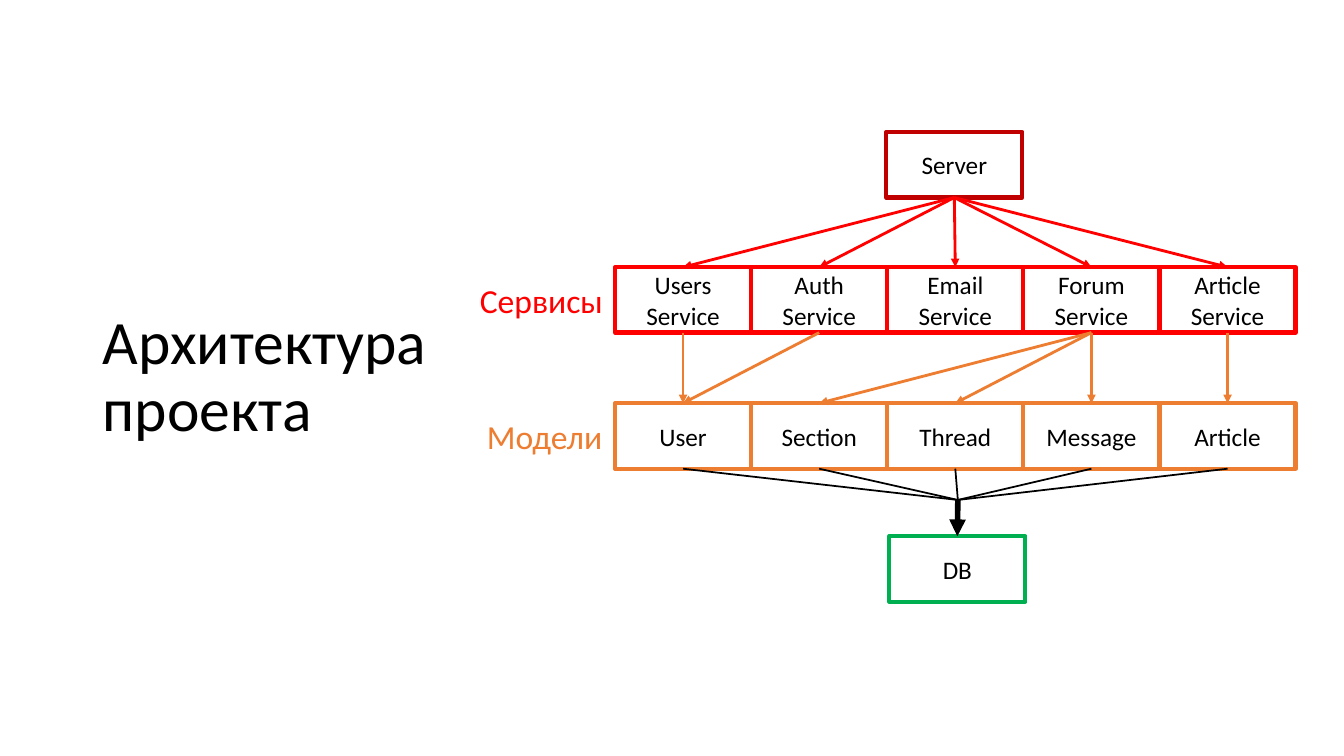
from pptx import Presentation
from pptx.dml.color import RGBColor
from pptx.enum.shapes import MSO_CONNECTOR as Connector, MSO_SHAPE as Preset
from pptx.enum.text import MSO_ANCHOR as Anchor, PP_ALIGN as Align
from pptx.oxml.ns import qn
from pptx.util import Inches, Pt
from lxml.etree import SubElement

COLORS = {"text": "000000", "server": "C00000", "service": "FF0000",
          "model": "ED7D31", "database": "00B050"}
SERVICES = ["Users", "Auth", "Email", "Forum", "Article"]
MODELS = ["User", "Section", "Thread", "Message", "Article"]
SERVICE_MODELS = [(0, 0), (4, 4), (3, 3), (3, 2), (3, 1), (1, 0)]
LEFT, BOX_WIDTH, BOX_HEIGHT = 6.1, 1.35, 0.65
TOP, BOTTOM = 0, 2


class ArchitectureSlide:
    """Draws styled elements on one slide."""

    font_name = "Calibri"

    def __init__(self, presentation):
        """Add the slide that receives the elements."""
        self.slide = presentation.slides.add_slide(presentation.slide_layouts[5])

    def set_text(self, shape, text, size, color="text", align=Align.LEFT, spacing=1.0, inset=0.05):
        """Fill a shape with formatted paragraphs."""
        frame = shape.text_frame
        frame.text = text
        frame_format = {"word_wrap": True, "vertical_anchor": Anchor.MIDDLE,
                        "margin_top": Inches(inset), "margin_bottom": Inches(inset)}
        for name, value in frame_format.items():
            setattr(frame, name, value)
        for paragraph in frame.paragraphs:
            for name, value in {"alignment": align, "line_spacing": spacing}.items():
                setattr(paragraph, name, value)
            for run in paragraph.runs:
                for name, value in {"name": self.font_name, "size": Pt(size)}.items():
                    setattr(run.font, name, value)
                run.font.color.rgb = RGBColor.from_string(COLORS[color])

    def title(self, text, left, top, width, height):
        """Place and fill the title placeholder."""
        shape = self.slide.shapes.title
        position = {"left": left, "top": top, "width": width, "height": height}
        for name, value in position.items():
            setattr(shape, name, Inches(value))
        self.set_text(shape, text, 44, spacing=0.9)

    def label(self, text, left, top, width, color):
        """Add a row label."""
        shape = self.slide.shapes.add_textbox(
            Inches(left), Inches(top), Inches(width), Inches(0.5))
        self.set_text(shape, text, 24, color)

    def box(self, text, left, top, color):
        """Add an outlined box with centred text."""
        shape = self.slide.shapes.add_shape(
            Preset.RECTANGLE, Inches(left), Inches(top), Inches(BOX_WIDTH), Inches(BOX_HEIGHT))
        shape.shadow.inherit = False
        shape.fill.background()
        shape.line.color.rgb = RGBColor.from_string(COLORS[color])
        shape.line.width = Pt(3)
        self.set_text(shape, text, 18, align=Align.CENTER, inset=0)
        return shape

    def row(self, texts, top, color):
        """Add adjoining boxes from left to right."""
        return [self.box(text, LEFT + BOX_WIDTH * column, top, color)
                for column, text in enumerate(texts)]

    def link(self, color, width, source=None, target=None, point=(0, 0), arrow=True):
        """Join a box bottom to a box top, using the point for a missing box."""
        x, y = map(Inches, point)
        connector = self.slide.shapes.add_connector(Connector.STRAIGHT, x, y, x, y)
        if source is not None:
            connector.begin_connect(source, BOTTOM)
        if target is not None:
            connector.end_connect(target, TOP)
        connector.line.color.rgb = RGBColor.from_string(COLORS[color])
        connector.line.width = Pt(width)
        if arrow:
            SubElement(connector.get_or_add_ln(), qn("a:tailEnd"), type="triangle")
        SubElement(connector.element.spPr, qn("a:effectLst"))


def main():
    """Build and save the architecture slide."""
    presentation = Presentation()
    presentation.slide_width = Inches(13.33)
    presentation.slide_height = Inches(7.5)
    drawing = ArchitectureSlide(presentation)

    drawing.title("Архитектура проекта", 0.92, 0, 4.8, 7.5)
    drawing.label("Сервисы", 4.66, 2.73, 1.49, "service")
    drawing.label("Модели", 4.73, 4.08, 1.35, "model")

    server = drawing.box("Server", 8.79, 1.31, "server")
    services = drawing.row([f"{name}\nService" for name in SERVICES], 2.65, "service")
    models = drawing.row(MODELS, 4, "model")
    database = drawing.box("DB", 8.82, 5.32, "database")

    for service in services:
        drawing.link("service", 2, server, service)
    for service, model in SERVICE_MODELS:
        drawing.link("model", 2, services[service], models[model])
    junction = (9.5, 4.96)
    for model in models:
        drawing.link("text", 1.25, source=model, point=junction, arrow=False)
    drawing.link("text", 4, target=database, point=junction)

    presentation.save("out.pptx")


if __name__ == "__main__":
    main()
